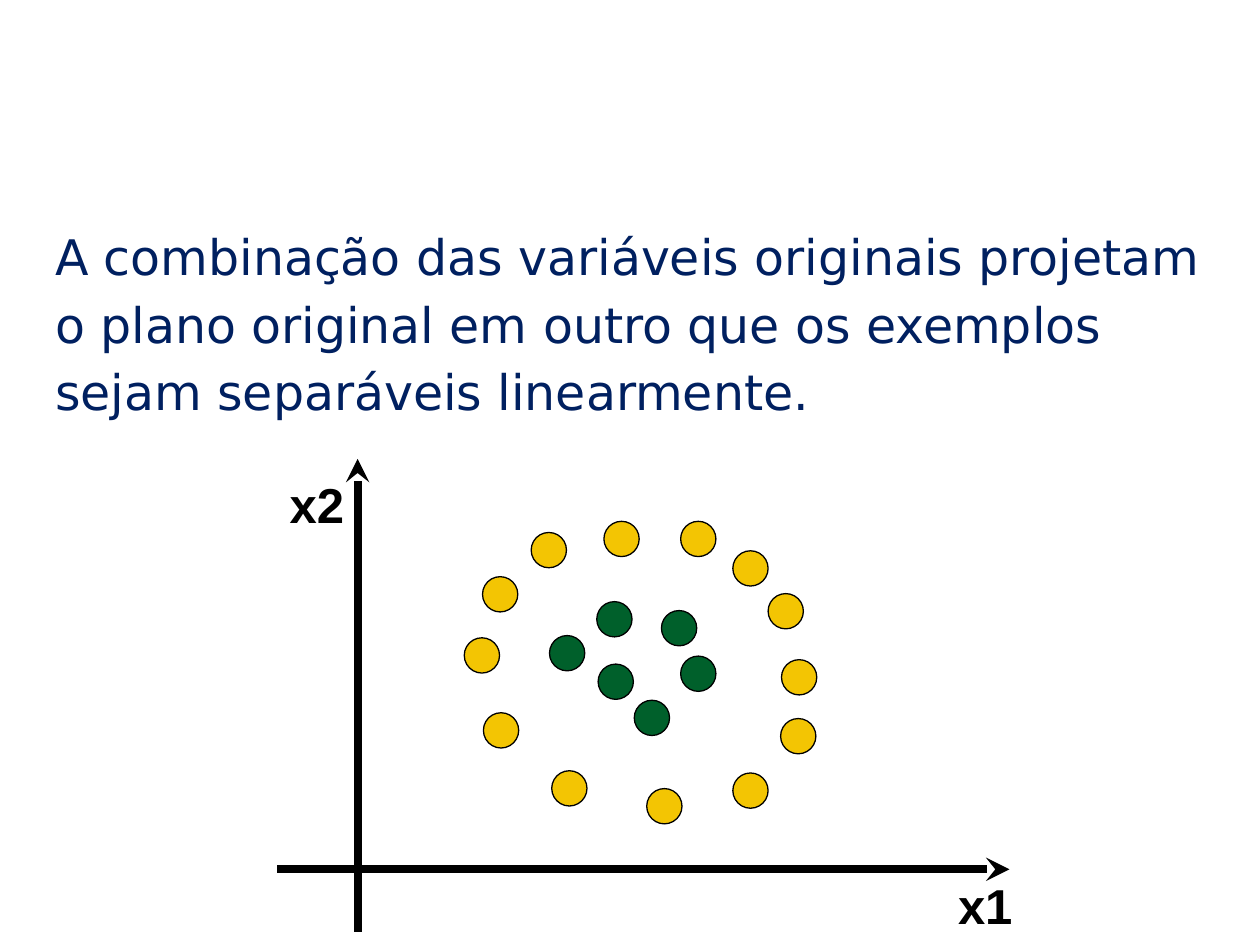
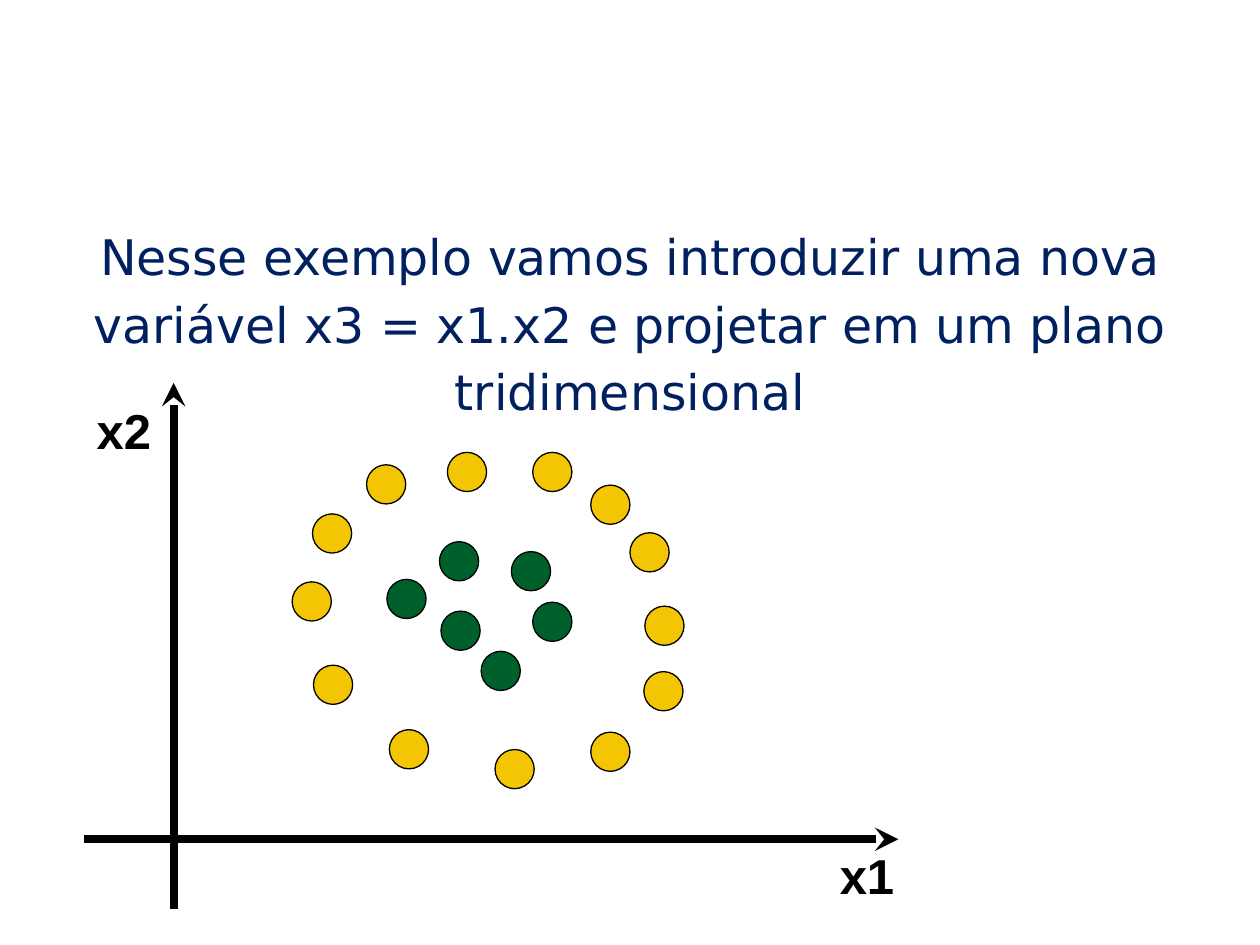
from lxml.etree import SubElement
from pptx import Presentation
from pptx.dml.color import RGBColor
from pptx.enum.shapes import MSO_CONNECTOR as Connector, MSO_SHAPE as Shape
from pptx.enum.text import PP_ALIGN as Align
from pptx.oxml.ns import qn
from pptx.util import Cm, Pt

COLORS = {"statement": "002060", "inner": "00602B", "outer": "F3C503", "ink": "000000"}
STATEMENT_FONT = {"name": "DejaVu Sans", "size": Pt(28)}
LABEL_FONT = {"name": "Arial", "size": Pt(28), "bold": True}
STATEMENT_FORMAT = {"line_spacing": 1.15, "space_after": Pt(12)}
STATEMENT_BOX = (0.86, 4.27, 23.67, 12.65)

PLOT_WIDTH, PLOT_HEIGHT = 16.41, 10.6
ORIGIN = (1.8, 9.2)
DOT_SIZE = 0.79
DOTS = {
    "inner": [(6.1, 3.96), (8.61, 3.4), (7.19, 4.6), (8, 5.41), (9.04, 4.42), (7.16, 3.2)],
    "outer": [(7.32, 1.4), (5.69, 1.65), (4.6, 2.64), (4.19, 4.01), (4.62, 5.69),
              (6.15, 6.99), (8.28, 7.39), (10.21, 7.04), (11.28, 5.82), (11.3, 4.5),
              (11, 3.02), (10.21, 2.06), (9.04, 1.4)],
}
AXIS_LABELS = {"x1": (14.98, 9.2), "x2": (0, 0.22)}

SLIDES = [
    {"statement": "A combinação das variáveis originais projetam o plano original "
                  "em outro que os exemplos sejam separáveis linearmente.",
     "alignment": Align.LEFT, "plot": (5.59, 9.25, 14.76), "label_size": (2.01, 1.32)},
    {"statement": "Nesse exemplo vamos introduzir uma nova variável x3 = x1.x2 "
                  "e projetar em um plano tridimensional",
     "alignment": Align.CENTER, "plot": (1.7, 7.72, 16.41), "label_size": (1.63, 1.45)},
]


def color(name):
    """Return a palette colour."""
    return RGBColor.from_string(COLORS[name])


def apply(target, values):
    """Set every attribute in values on target."""
    for name, value in values.items():
        setattr(target, name, value)


def add_text(slide, box, text, font, color_name, paragraph_format, wrap):
    """Add a one-paragraph text box."""
    frame = slide.shapes.add_textbox(*map(Cm, box)).text_frame
    frame.word_wrap = wrap
    paragraph = frame.paragraphs[0]
    apply(paragraph, paragraph_format)
    run = paragraph.add_run()
    run.text = text
    apply(run.font, font)
    run.font.color.rgb = color(color_name)


def add_axis(slide, start, end):
    """Add a thick line with a stealth arrowhead at its end."""
    axis = slide.shapes.add_connector(Connector.STRAIGHT, *map(Cm, start + end))
    axis.line.width = Pt(4.5)
    axis.line.color.rgb = color("ink")
    SubElement(axis.line._get_or_add_ln(), qn("a:tailEnd"), type="stealth")
    SubElement(axis._element.spPr, qn("a:effectLst"))


def add_dot(slide, position, size, group):
    """Add one example as an outlined circle."""
    dot = slide.shapes.add_shape(Shape.OVAL, *map(Cm, position + (size, size)))
    dot.shadow.inherit = False
    dot.fill.solid()
    dot.fill.fore_color.rgb = color(group)
    dot.line.color.rgb = color("ink")
    dot.line.width = Pt(0.75)


def add_plot(slide, left, top, width, label_size):
    """Add the axes, examples and axis labels, scaled to the given width."""
    scale = width / PLOT_WIDTH

    def place(x, y):
        """Convert plot coordinates to slide coordinates."""
        return left + x * scale, top + y * scale

    origin_x, origin_y = ORIGIN
    add_axis(slide, place(origin_x, PLOT_HEIGHT), place(origin_x, 0))
    add_axis(slide, place(0, origin_y), place(PLOT_WIDTH, origin_y))
    for group, positions in DOTS.items():
        for position in positions:
            add_dot(slide, place(*position), DOT_SIZE * scale, group)
    for label, position in AXIS_LABELS.items():
        add_text(slide, place(*position) + label_size, label, LABEL_FONT, "ink", {}, False)


def add_example_slide(presentation, content):
    """Add a slide with a statement above a scatter of examples."""
    slide = presentation.slides.add_slide(presentation.slide_layouts[6])
    paragraph_format = {**STATEMENT_FORMAT, "alignment": content["alignment"]}
    add_text(slide, STATEMENT_BOX, content["statement"], STATEMENT_FONT,
             "statement", paragraph_format, True)
    add_plot(slide, *content["plot"], content["label_size"])


def main():
    """Build and save the presentation."""
    presentation = Presentation()
    apply(presentation, {"slide_width": Cm(25.4), "slide_height": Cm(19.05)})
    for content in SLIDES:
        add_example_slide(presentation, content)
    presentation.save("out.pptx")


if __name__ == "__main__":
    main()
